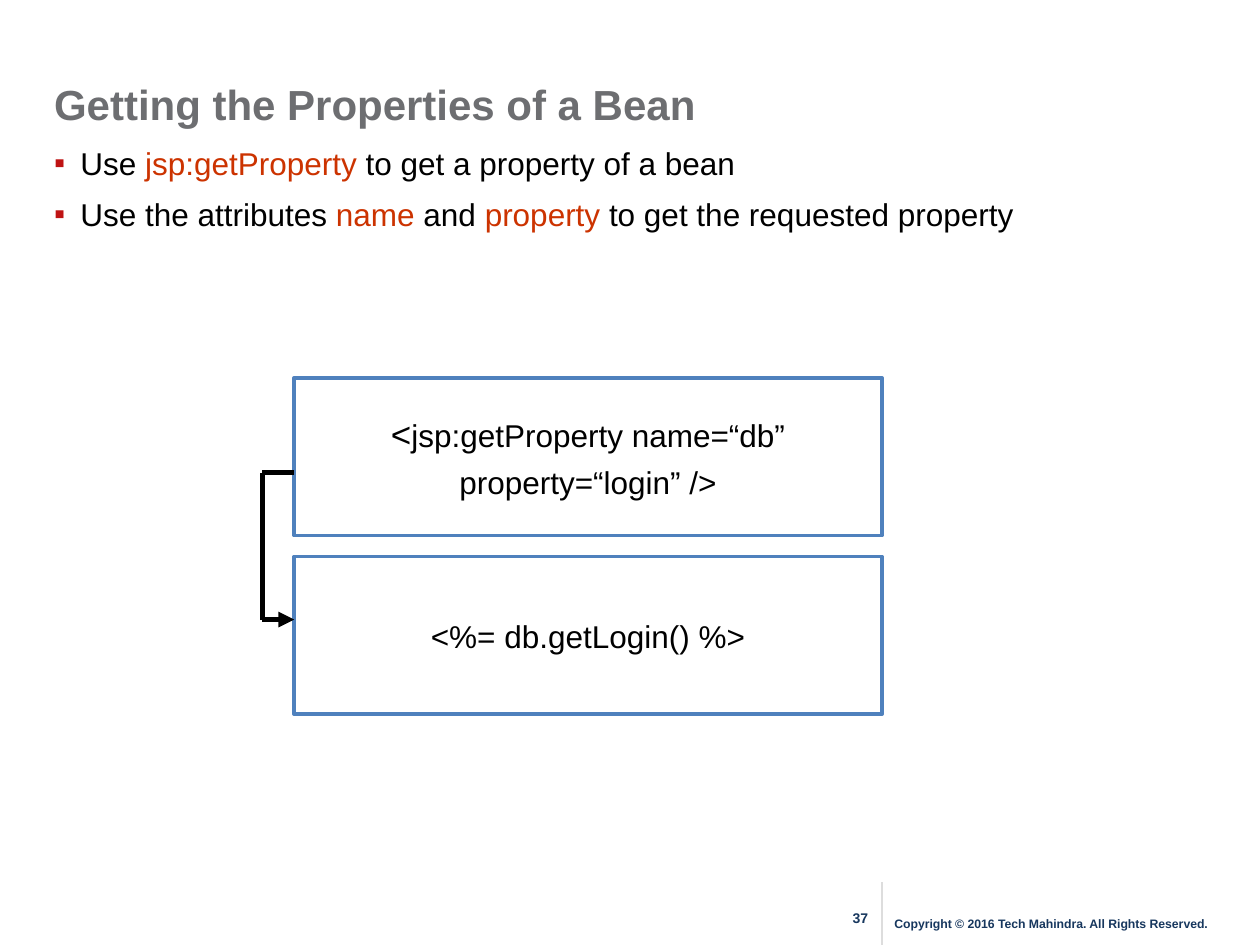
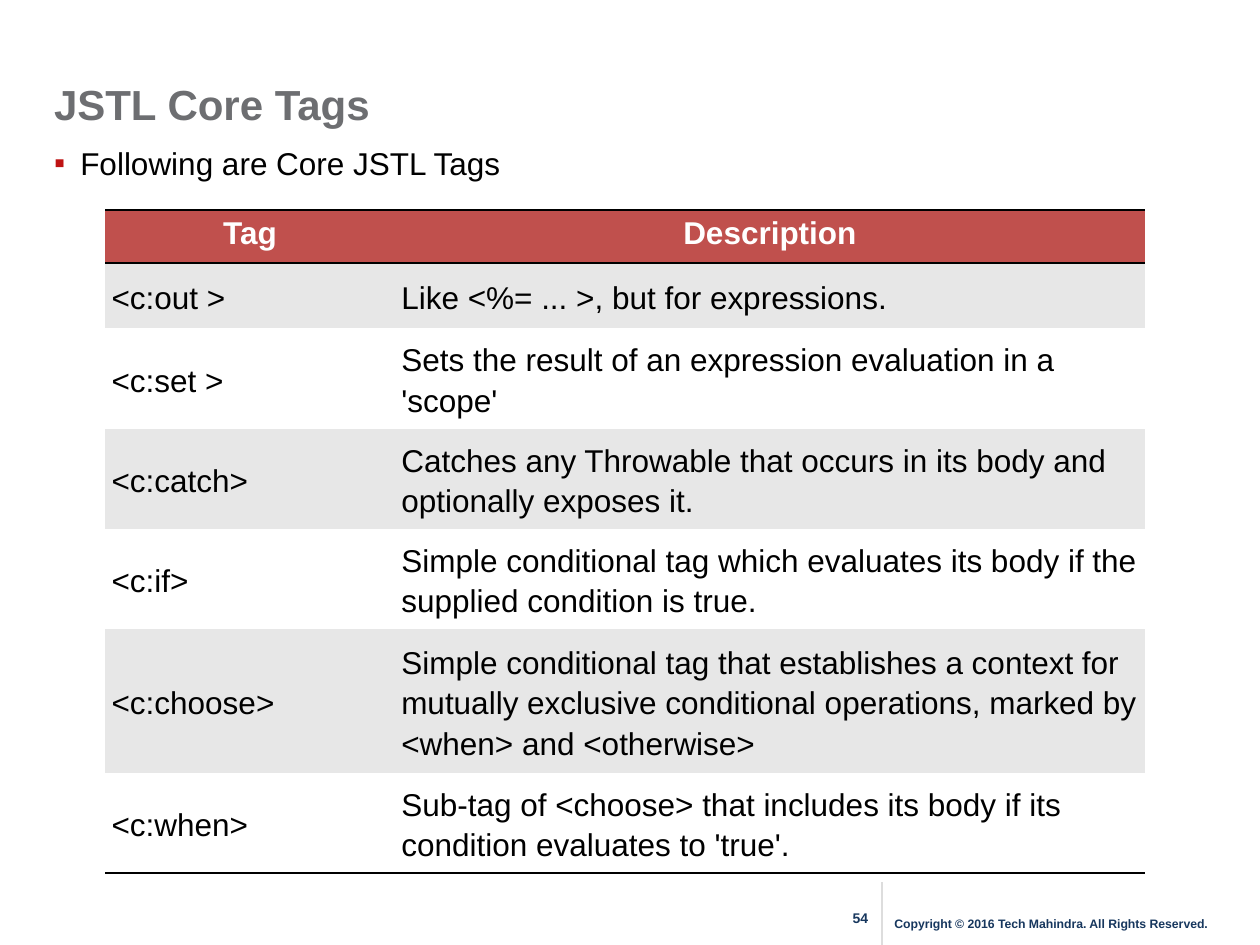
import lxml.etree
import pptx
import pptx.dml.color
import pptx.enum.shapes
import pptx.enum.text
import pptx.oxml.ns
import pptx.util

Cm = pptx.util.Cm
Pt = pptx.util.Pt
RGB = pptx.dml.color.RGBColor
ALIGN = pptx.enum.text.PP_ALIGN
ANCHOR = pptx.enum.text.MSO_ANCHOR
qn = pptx.oxml.ns.qn

BLACK = RGB(0x00, 0x00, 0x00)
WHITE = RGB(0xFF, 0xFF, 0xFF)
GREY = RGB(0x6D, 0x6E, 0x71)
PALE = RGB(0xDD, 0xDD, 0xDD)
BAND = RGB(0xE7, 0xE7, 0xE7)
NAVY = RGB(0x17, 0x37, 0x5E)
BLUE = RGB(0x4F, 0x81, 0xBD)
BRICK = RGB(0xC0, 0x50, 0x4D)
RED = RGB(0xBF, 0x13, 0x13)
RUST = RGB(0xCC, 0x33, 0x00)


def add_xml(root, tag, **attrs):
    return lxml.etree.SubElement(root, qn(tag), attrs)


def add_rule(cell, side, shown):
    """Draw one cell border, or switch it off."""
    line = add_xml(cell._tc.get_or_add_tcPr(), "a:ln" + side, w=str(Pt(1)))
    if shown:
        add_xml(add_xml(line, "a:solidFill"), "a:srgbClr", val=str(BLACK))
    else:
        add_xml(line, "a:noFill")


class Deck:
    font = "Arial"
    size = 18

    def __init__(self):
        self.file = pptx.Presentation()
        self.file.slide_width = Cm(25.4)
        self.file.slide_height = Cm(19.05)
        self.slide = None

    def start(self, title, number):
        """Open a slide with its title and footer."""
        self.slide = self.file.slides.add_slide(self.file.slide_layouts[6])
        self.line((17.78, 17.78), (17.78, 19.05), PALE, 1.5)
        self.text(16.71, 18.21, 1.27, 0.76, str(number), 8, NAVY,
                  align=ALIGN.CENTER)
        self.text(0.84, 1.52, 18.62, 1.14, title, 24, GREY, ANCHOR.MIDDLE)
        self.text(17.78, 18.29, 7.42, 0.64,
                  "Copyright © 2016 Tech Mahindra. All Rights Reserved.",
                  7, NAVY, ANCHOR.MIDDLE)

    def style(self, par, text, size=size, color=BLACK, bold=False,
              hot_size=None, hot_color=None):
        """Fill a paragraph; parts between asterisks take the hot style."""
        for i, part in enumerate(text.split("*")):
            if not part:
                continue
            run = par.add_run()
            run.text = part
            hot = i % 2 == 1
            run.font.name = self.font
            run.font.size = Pt(hot_size if hot and hot_size else size)
            run.font.color.rgb = hot_color if hot and hot_color else color
            run.font.bold = bold

    def frame(self, x, y, w, h):
        box = self.slide.shapes.add_textbox(Cm(x), Cm(y), Cm(w), Cm(h))
        box.text_frame.word_wrap = True
        return box.text_frame

    def text(self, x, y, w, h, text, size, color, anchor=ANCHOR.TOP,
             align=ALIGN.LEFT):
        frame = self.frame(x, y, w, h)
        frame.vertical_anchor = anchor
        par = frame.paragraphs[0]
        par.alignment = align
        self.style(par, text, size, color, True)

    def pars(self, frame, lines):
        """Yield one spaced paragraph for each line."""
        for i, line in enumerate(lines):
            par = frame.add_paragraph() if i else frame.paragraphs[0]
            if i:
                par.space_before = Pt(4.5)
            yield par, line

    def points(self, *lines):
        frame = self.frame(0.84, 2.67, 23.29, 15.24)
        for par, line in self.pars(frame, lines):
            par.line_spacing = 1.14
            props = par._p.get_or_add_pPr()
            props.set("marL", str(Cm(0.53)))
            props.set("indent", str(-Cm(0.53)))
            add_xml(add_xml(props, "a:buClr"), "a:srgbClr", val=str(RED))
            add_xml(props, "a:buFont", typeface=self.font)
            add_xml(props, "a:buChar", char="▪")
            self.style(par, line, hot_color=RUST)

    def box(self, x, y, w, h, *lines):
        kind = pptx.enum.shapes.MSO_SHAPE.RECTANGLE
        shape = self.slide.shapes.add_shape(kind, Cm(x), Cm(y), Cm(w), Cm(h))
        shape.shadow.inherit = False
        shape.fill.background()
        shape.line.color.rgb = BLUE
        shape.line.width = Pt(2)
        frame = shape.text_frame
        frame.word_wrap = False
        frame.vertical_anchor = ANCHOR.MIDDLE
        for par, line in self.pars(frame, lines):
            par.alignment = ALIGN.CENTER
            self.style(par, line, hot_size=20)

    def line(self, start, end, color, width, arrow=False):
        kind = pptx.enum.shapes.MSO_CONNECTOR.STRAIGHT
        line = self.slide.shapes.add_connector(
            kind, *(Cm(n) for n in start + end))
        line.line.color.rgb = color
        line.line.width = Pt(width)
        if arrow:
            add_xml(line.line._get_or_add_ln(), "a:tailEnd", type="triangle")
        add_xml(line._element.spPr, "a:effectLst")

    def table(self, x, y, widths, heights, rows):
        table = self.slide.shapes.add_table(
            len(rows), len(widths), Cm(x), Cm(y),
            Cm(sum(widths)), Cm(sum(heights))).table
        for col, width in zip(table.columns, widths):
            col.width = Cm(width)
        for i, (row, height) in enumerate(zip(rows, heights)):
            table.rows[i].height = Cm(height)
            for j, text in enumerate(row):
                self.cell(table.cell(i, j), text, i, len(rows) - 1)

    def cell(self, cell, text, row, last):
        head = row == 0
        for side, shown in (("L", False), ("R", False),
                            ("T", row < 2), ("B", row in (0, last))):
            add_rule(cell, side, shown)
        cell.fill.solid()
        cell.fill.fore_color.rgb = BRICK if head else BAND if row % 2 else WHITE
        cell.margin_left = cell.margin_right = Cm(0.25 if head else 0.13)
        cell.margin_top = cell.margin_bottom = Cm(0.13)
        cell.vertical_anchor = ANCHOR.TOP if head else ANCHOR.MIDDLE
        par = cell.text_frame.paragraphs[0]
        par.alignment = ALIGN.CENTER if head else ALIGN.LEFT
        par.line_spacing = 1.0 if head else 1.15
        self.style(par, text, color=WHITE if head else BLACK, bold=head)


def bean_slide(deck):
    deck.start("Getting the Properties of a Bean", 37)
    deck.points(
        "Use *jsp:getProperty* to get a property of a bean",
        "Use the attributes *name* and *property* to get the requested property")
    left, wide, high = 5.93, 11.85, 3.18
    deck.box(left, 7.62, wide, high,
             "*<*jsp:getProperty name=“db”", "property=“login” />")
    deck.box(left, 11.22, wide, high, "<%= db.getLogin() %>")
    turn, top, low = 5.29, 9.53, 12.49
    route = [(left, top), (turn, top), (turn, low), (left, low)]
    for start, end in zip(route, route[1:]):
        deck.line(start, end, BLACK, 3, arrow=end == route[-1])


def tags_slide(deck):
    deck.start("JSTL Core Tags", 54)
    deck.points("Following are Core JSTL Tags")
    rows = [
        ("Tag", "Description"),
        ("<c:out >", "Like <%= ... >, but for expressions."),
        ("<c:set >", "Sets the result of an expression evaluation in a 'scope'"),
        ("<c:catch>", "Catches any Throwable that occurs in its body and "
                      "optionally exposes it."),
        ("<c:if>", "Simple conditional tag which evaluates its body if the "
                   "supplied condition is true."),
        ("<c:choose>", "Simple conditional tag that establishes a context for "
                       "mutually exclusive conditional operations, marked by "
                       "<when> and <otherwise>"),
        ("<c:when>", "Sub-tag of <choose> that includes its body if its "
                     "condition evaluates to 'true'."),
    ]
    two = 2.02
    deck.table(2.12, 4.23, (5.84, 15.12),
               (1.07, 1.32, two, two, two, 2.9, two), rows)


def main():
    deck = Deck()
    bean_slide(deck)
    tags_slide(deck)
    deck.file.save("out.pptx")


if __name__ == "__main__":
    main()
